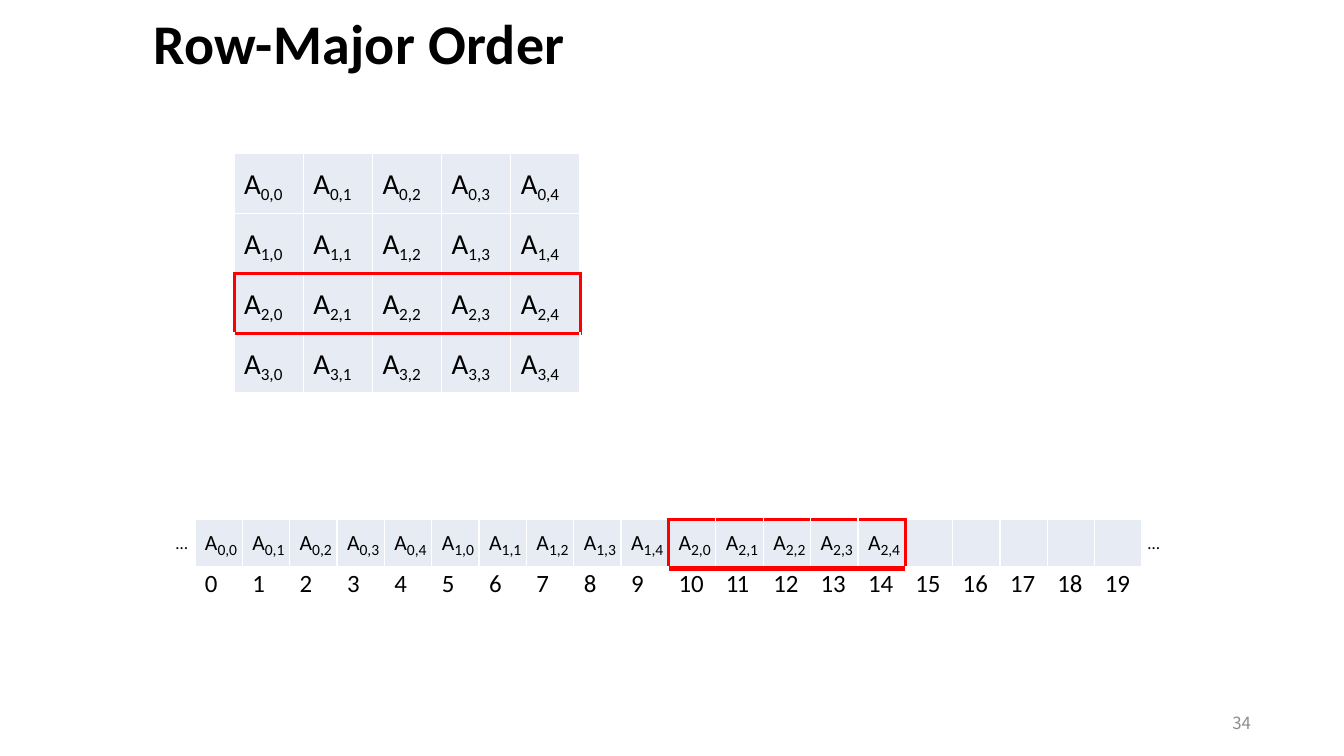
import pptx
import pptx.util
import pptx.dml.color
import pptx.enum.text
import pptx.oxml
import pptx.oxml.ns

Inches = pptx.util.Inches
Pt = pptx.util.Pt
ALIGN = pptx.enum.text.PP_ALIGN
ANCHOR = pptx.enum.text.MSO_ANCHOR
COLORS = {"text": "000000", "cell": "E7EBF3", "rule": "FFFFFF", "mark": "FF0000", "number": "8C8C8C"}
SIDES = {"L": (0, -1), "R": (0, 1), "T": (-1, 0), "B": (1, 0)}
ROWS, COLS, SLOTS, MARKED_ROW = 4, 5, 20, 2


def rgb(name):
    """Return a named colour."""
    return pptx.dml.color.RGBColor.from_string(COLORS[name])


def add_run(p, text, size, color="text", font="Calibri", bold=False, raised=0, spacing=0):
    """Append one formatted run to a paragraph."""
    r = p.add_run()
    r.text = text
    r.font.size, r.font.name, r.font.bold = Pt(size), font, bold
    r.font.color.rgb = rgb(color)
    rPr = r.font._element
    if raised:
        rPr.set("baseline", str(raised * 1000))
    if spacing:
        rPr.set("spc", str(round(spacing * 100)))


def add_text(s, x, y, w, h, text, size, align=ALIGN.LEFT, anchor=ANCHOR.TOP, line=1.0, **style):
    """Add a text box without insets."""
    tf = s.shapes.add_textbox(Inches(x), Inches(y), Inches(w), Inches(h)).text_frame
    tf.word_wrap = True
    tf.margin_left = tf.margin_right = tf.margin_top = tf.margin_bottom = 0
    tf.vertical_anchor = anchor
    p = tf.paragraphs[0]
    p.alignment, p.line_spacing = align, line
    add_run(p, text, size, **style)


def add_border(cell, side, color, width):
    """Draw one side of a table cell."""
    ns = pptx.oxml.ns.nsdecls("a")
    cell._tc.get_or_add_tcPr().append(pptx.oxml.parse_xml(
        f'<a:ln{side} {ns} w="{Pt(width)}"><a:solidFill>'
        f'<a:srgbClr val="{COLORS[color]}"/></a:solidFill></a:ln{side}>'))


def add_grid(s, x, y, w, h, rows, cols, marked, inner, outer):
    """Add a ruled table with a red outline round the marked cells."""
    table = s.shapes.add_table(rows, cols, Inches(x), Inches(y), Inches(w), Inches(h)).table
    table.first_row = table.horz_banding = False
    for r in range(rows):
        for c in range(cols):
            cell = table.cell(r, c)
            cell.margin_left = cell.margin_right = cell.margin_top = cell.margin_bottom = 0
            for side, (dr, dc) in SIDES.items():
                between_rows = dr and 0 <= r + dr < rows
                plain, red = inner if between_rows else outer
                on_edge = ((r, c) in marked) != ((r + dr, c + dc) in marked)
                add_border(cell, side, "mark" if on_edge else "rule", red if on_edge else plain)
            cell.fill.solid()
            cell.fill.fore_color.rgb = rgb("cell")
    return table


def indent(cell):
    """Indent a cell's paragraph and return it."""
    p = cell.text_frame.paragraphs[0]
    p._p.get_or_add_pPr().set("marL", str(Inches(0.09)))
    return p


def add_element(cell, row, col, size, sub_size):
    """Write a matrix element with its subscript."""
    p = indent(cell)
    add_run(p, "A", size, raised=13)
    add_run(p, f"{row},{col}", sub_size)


def add_matrix(s):
    """Add the matrix with one row marked."""
    marked = {(MARKED_ROW, c) for c in range(COLS)}
    table = add_grid(s, 2.09, 1.37, 3.09, 2.14, ROWS, COLS, marked, (1, 2.25), (1, 2.25))
    for r in range(ROWS):
        for c in range(COLS):
            add_element(table.cell(r, c), r, c, 32, 11)


def add_memory(s):
    """Add the memory strip with its addresses."""
    first = MARKED_ROW * COLS
    marked = {(0, k) for k in range(first, first + COLS)}
    table = add_grid(s, 1.74, 4.64, 8.46, 0.87, 2, SLOTS, marked, (3.16, 3.78), (1, 2.25))
    for k in range(SLOTS):
        if k < first + COLS:
            add_element(table.cell(0, k), *divmod(k, COLS), 24, 10)
        address = table.cell(1, k)
        address.fill.background()
        add_run(indent(address), str(k), 16, spacing=-1.2 if k == 11 else 0)


def main():
    """Build the slide."""
    prs = pptx.Presentation()
    prs.slide_width, prs.slide_height = Inches(12), Inches(6.75)
    s = prs.slides.add_slide(prs.slide_layouts[6])
    add_text(s, 1.37, 0.14, 4.18, 0.55, "Row-Major Order", 36,
             anchor=ANCHOR.MIDDLE, line=0.9, bold=True, spacing=0.2)
    add_matrix(s)
    add_memory(s)
    for x in (1.57, 10.25):
        add_text(s, x, 4.75, 0.17, 0.19, "…", 11)
    add_text(s, 8.47, 6.27, 2.7, 0.36, "34", 10.8, ALIGN.RIGHT, ANCHOR.MIDDLE,
             color="number", font="Noto Sans CJK SC")
    prs.save("out.pptx")


if __name__ == "__main__":
    main()
